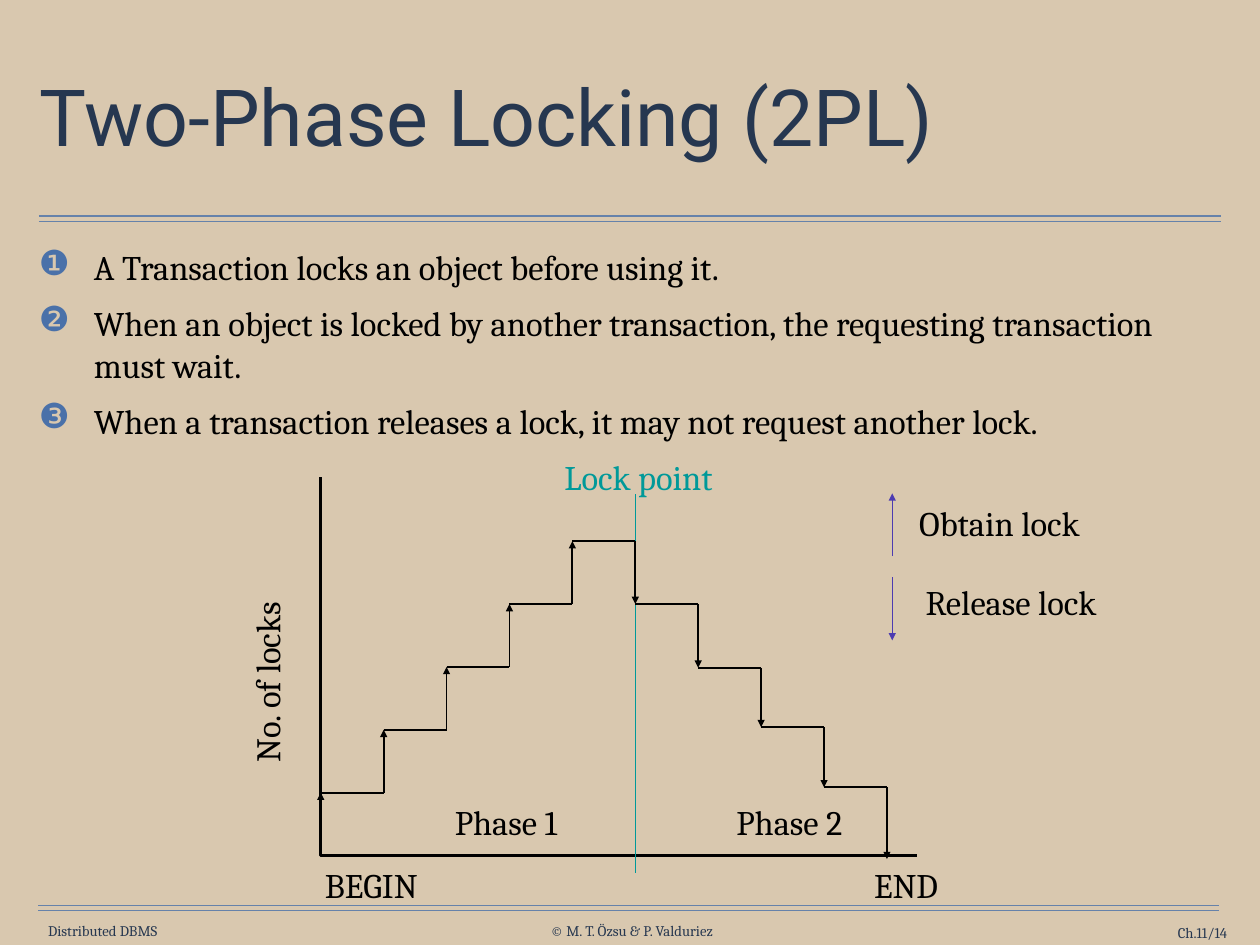
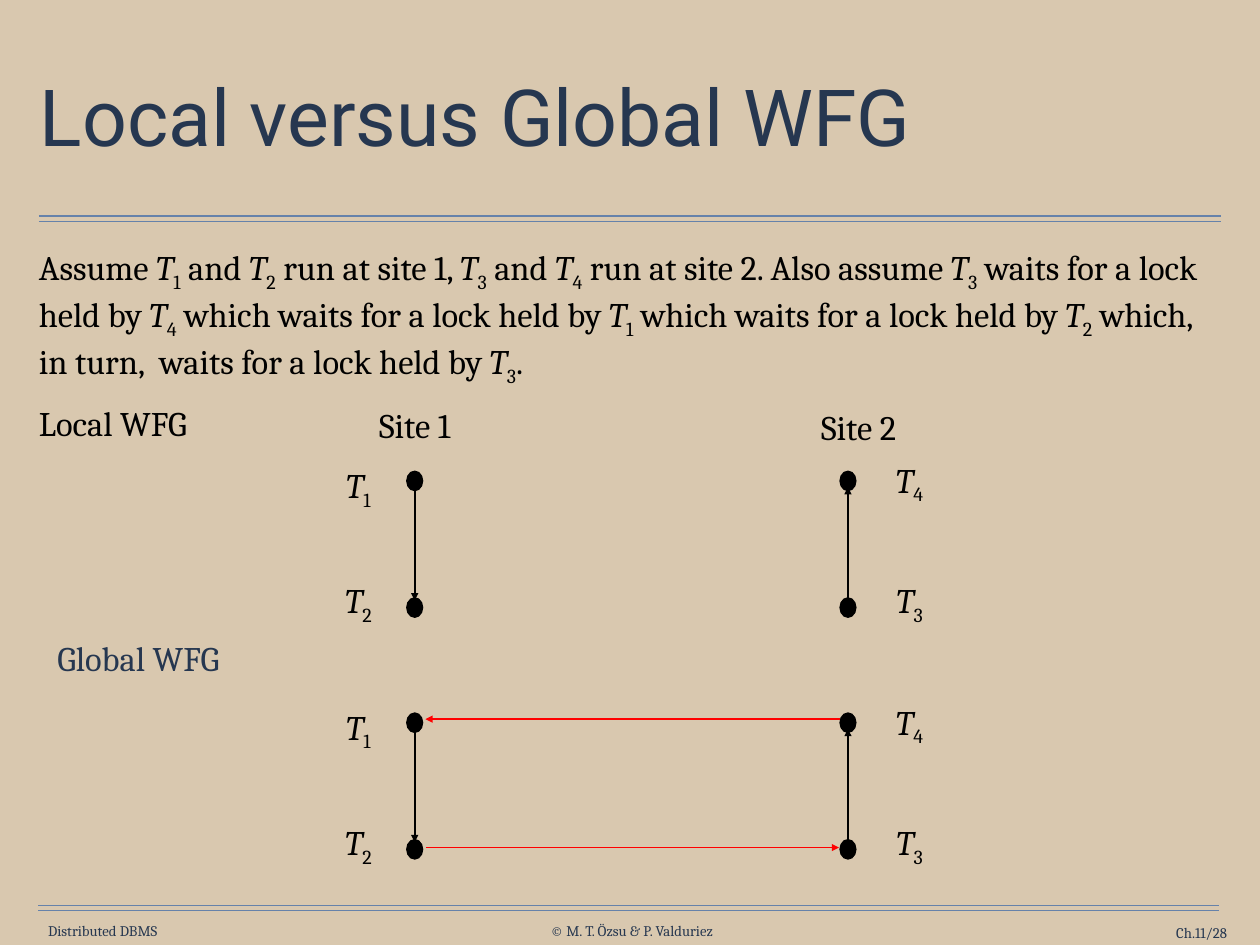
import itertools

import lxml.etree
import pptx
import pptx.dml.color
import pptx.enum.shapes
import pptx.enum.text
import pptx.oxml.ns
import pptx.util

Inches = pptx.util.Inches
ALIGN = pptx.enum.text.PP_ALIGN
MIDDLE = pptx.enum.text.MSO_ANCHOR.MIDDLE

SAND, NAVY, RULE, BULLET = "D9C8AF", "263750", "6682AA", "4A71A9"
BLACK, TEAL, VIOLET, RED = "000000", "009999", "4C3BB1", "FF0000"
SERIF, SANS = "Cambria", "Roboto"
TITLE_BOX = (0.39, 0.49, 13.44, 1.76)
BODY_BOX = (0.38, 2.72, 13.44, 7.4)
LABEL_INSETS = (0.14, 0.07)


def rgb(value):
    """Return the colour for a hex string."""
    return pptx.dml.color.RGBColor.from_string(value)


def add_xml(parent, tag, **attributes):
    """Append a DrawingML element to a parent and return it."""
    return lxml.etree.SubElement(parent, pptx.oxml.ns.qn(tag), attributes)


def write(paragraph, text, size=28, color=BLACK, font=SERIF):
    """Write text in which T_n stands for an italic T with subscript n."""
    plain, *indexed = text.split("T_")
    pieces = [(plain, "plain")]
    for part in indexed:
        pieces += [("T", "italic"), (part[0], "subscript"), (part[1:], "plain")]
    for words, style in pieces:
        if not words:
            continue
        run = paragraph.add_run()
        run.text = words
        run.font.size = pptx.util.Pt(size)
        run.font.name = font
        run.font.color.rgb = rgb(color)
        if style == "italic":
            run.font.italic = True
        if style == "subscript":
            run._r.get_or_add_rPr().set("baseline", "-25000")


def add_frame(slide, box, insets, wrap=True):
    """Add an empty text box and return its shape."""
    shape = slide.shapes.add_textbox(*map(Inches, box))
    frame = shape.text_frame
    frame.word_wrap = wrap
    frame.margin_left = frame.margin_right = Inches(insets[0])
    frame.margin_top = frame.margin_bottom = Inches(insets[1])
    return shape


def add_label(slide, box, text, color=BLACK, size=28, insets=LABEL_INSETS,
              align=ALIGN.CENTER, wrap=False):
    """Add a one-line label that fits its text and return its shape."""
    label = add_frame(slide, box, insets, wrap)
    label.text_frame.auto_size = pptx.enum.text.MSO_AUTO_SIZE.SHAPE_TO_FIT_TEXT
    paragraph = label.text_frame.paragraphs[0]
    paragraph.alignment = align
    write(paragraph, text, size, color)
    return label


def add_line(slide, start, end, color=BLACK, width=1.5, arrow=False):
    """Draw a straight line, with an arrowhead at its end if asked."""
    line = slide.shapes.add_connector(
        pptx.enum.shapes.MSO_CONNECTOR.STRAIGHT, *map(Inches, start + end))
    line.line.color.rgb = rgb(color)
    line.line.width = pptx.util.Pt(width)
    if arrow:
        add_xml(line.line._get_or_add_ln(), "a:tailEnd", type="triangle")
    add_xml(line._element.spPr, "a:effectLst")


def add_double_rule(slide, left, top, width):
    """Draw the pair of thin rules that bounds the body."""
    for y in (top, top + 0.06):
        add_line(slide, (left, y), (left + width, y), RULE, 1)


def add_base(deck, title, number):
    """Add a slide with the shared rules, footer and title."""
    slide = deck.slides.add_slide(deck.slide_layouts[6])
    add_double_rule(slide, 0.44, 2.44, 13.34)
    add_double_rule(slide, 0.43, 10.22, 13.33)
    footers = [
        ((0.47, 10.41, 1.38, 0.2), "Distributed DBMS", ALIGN.CENTER, False),
        ((6.09, 10.41, 2.08, 0.2), "© M. T. Özsu & P. Valduriez", ALIGN.CENTER, False),
        ((12.31, 10.43, 1.54, 0.2), f"Ch.11/{number}", ALIGN.RIGHT, True),
    ]
    for box, text, align, wrap in footers:
        footer = add_label(slide, box, text, NAVY, 12, (0, 0), align, wrap)
        footer.text_frame.vertical_anchor = MIDDLE
    frame = add_frame(slide, TITLE_BOX, (0.06, 0.06)).text_frame
    frame.vertical_anchor = MIDDLE
    frame.paragraphs[0].line_spacing = 0.9
    write(frame.paragraphs[0], title, 64, NAVY, SANS)
    return slide


def add_body(slide, texts, bullets=""):
    """Add the body paragraphs, each with its bullet if there is one."""
    frame = add_frame(slide, BODY_BOX, (0.06, 0.06)).text_frame
    for index, (text, bullet) in enumerate(itertools.zip_longest(texts, bullets)):
        paragraph = frame.add_paragraph() if index else frame.paragraphs[0]
        paragraph.space_before = pptx.util.Pt(12)
        write(paragraph, text)
        if bullet:
            properties = paragraph._p.get_or_add_pPr()
            properties.set("marL", str(Inches(0.62)))
            properties.set("indent", str(Inches(-0.62)))
            add_xml(add_xml(properties, "a:buClr"), "a:srgbClr", val=BULLET)
            add_xml(properties, "a:buChar", char=bullet)


def add_lock_chart(slide, box):
    """Draw the axes, the staircase of locks and the lock point."""
    left, top, width, height = box
    base, step = top + height, 0.71
    corners = [(left, top), (left, base), (left + width, base)]
    start, *others = [tuple(map(Inches, corner)) for corner in corners]
    builder = slide.shapes.build_freeform(*start)
    builder.add_line_segments(others, close=False)
    axes = builder.convert_to_shape()
    axes.shadow.inherit = False
    axes.fill.background()
    axes.line.color.rgb = rgb(BLACK)
    axes.line.width = pptx.util.Pt(2)

    lock_x = left + 5 * step
    add_line(slide, (lock_x, top + 0.19), (lock_x, base + 0.2), TEAL, 1)
    levels = [0, 0.71, 1.42, 2.13, 2.84, 3.55, 2.84, 2.12, 1.45, 0.77, -0.04]
    for index, (level, following) in enumerate(itertools.pairwise(levels)):
        x, y = left + index * step, base - following
        add_line(slide, (x, base - level), (x, y), arrow=True)
        if index < len(levels) - 2:
            add_line(slide, (x, y), (x + step, y))

    labels = [
        (2.51, -0.31, 2.15, "Lock point", TEAL),
        (1.29, 3.59, 1.6, "Phase 1", BLACK),
        (4.49, 3.59, 1.6, "Phase 2", BLACK),
        (-0.19, 4.3, 1.52, "BEGIN", BLACK),
        (6.03, 4.3, 1.15, "END", BLACK),
    ]
    for x, y, label_width, text, color in labels:
        add_label(slide, (left + x, top + y, label_width, 0.61), text, color)
    axis_title = add_label(
        slide, (left - 1.79, top + 2.01, 2.36, 0.61), "No. of locks")
    axis_title.rotation = 270


def add_legend(slide, box):
    """Explain the up and down arrows."""
    left, top, width, height = box
    add_line(slide, (left, top + 0.71), (left, top), VIOLET, 1, True)
    add_line(slide, (left, top + height - 0.71), (left, top + height), VIOLET, 1, True)
    add_label(slide, (left + 0.06, top + 0.03, width - 0.25, 0.61), "Obtain lock")
    add_label(slide, (left + 0.13, top + 0.92, width - 0.13, 0.61), "Release lock")


def add_wait_graph(slide, box, linked):
    """Draw the four transactions and their waits, linking the sites if asked."""
    left, top, width, height = box
    right, bottom = left + width, top + height
    nodes = [
        ("T_1", left, top, -0.98, -0.26),
        ("T_2", left, bottom, -0.98, -0.39),
        ("T_4", right, top, 0.35, -0.32),
        ("T_3", right, bottom, 0.35, -0.39),
    ]
    for name, x, y, label_x, label_y in nodes:
        node = slide.shapes.add_shape(
            pptx.enum.shapes.MSO_SHAPE.OVAL,
            *map(Inches, (x - 0.09, y - 0.11, 0.18, 0.22)))
        node.shadow.inherit = False
        node.fill.solid()
        node.fill.fore_color.rgb = rgb(BLACK)
        node.line.color.rgb = rgb(BLACK)
        node.line.width = pptx.util.Pt(1)
        add_label(slide, (x + label_x, y + label_y, 0.69, 0.61), name)
    add_line(slide, (left, top + 0.06), (left, bottom - 0.08), arrow=True)
    add_line(slide, (right, bottom - 0.06), (right, top + 0.07), arrow=True)
    if linked:
        upper, lower = top - 0.04, bottom - 0.02
        add_line(slide, (right - 0.09, upper), (left + 0.12, upper), RED, arrow=True)
        add_line(slide, (left + 0.13, lower), (right - 0.1, lower), RED, arrow=True)


def build_locking(deck):
    """Build the slide on two-phase locking."""
    slide = add_base(deck, "Two-Phase Locking (2PL)", 14)
    add_body(slide, [
        "A Transaction locks an object before using it.",
        "When an object is locked by another transaction, "
        "the requesting transaction must wait.",
        "When a transaction releases a lock, it may not request another lock.",
    ], "❶❷❸")
    add_lock_chart(slide, (3.62, 5.39, 6.73, 4.27))
    add_legend(slide, (10.07, 5.57, 2.55, 1.66))


def build_wait_graphs(deck):
    """Build the slide on local and global wait-for graphs."""
    slide = add_base(deck, "Local versus Global WFG", 28)
    add_body(slide, [
        "Assume T_1 and T_2 run at site 1, T_3 and T_4 run at site 2. "
        "Also assume T_3 waits for a lock held by T_4 which waits for a lock "
        "held by T_1 which waits for a lock held by T_2 which, in turn,  "
        "waits for a lock held by T_3.",
        "Local WFG",
    ])
    global_title = add_label(
        slide, (0.38, 7.14, 2.36, 0.56), "Global WFG", NAVY, insets=(0.1, 0.04))
    global_title.text_frame.paragraphs[0].line_spacing = 1.02
    add_label(slide, (4.07, 4.49, 1.22, 0.61), "Site 1")
    add_label(slide, (9.08, 4.51, 1.22, 0.61), "Site 2")
    for top, linked in ((5.43, False), (8.16, True)):
        add_wait_graph(slide, (4.68, top, 4.89, 1.43), linked)


deck = pptx.Presentation()
deck.slide_width, deck.slide_height = Inches(14.22), Inches(10.67)
backdrop = deck.slide_master.background.fill
backdrop.solid()
backdrop.fore_color.rgb = rgb(SAND)
build_locking(deck)
build_wait_graphs(deck)
deck.save("out.pptx")
